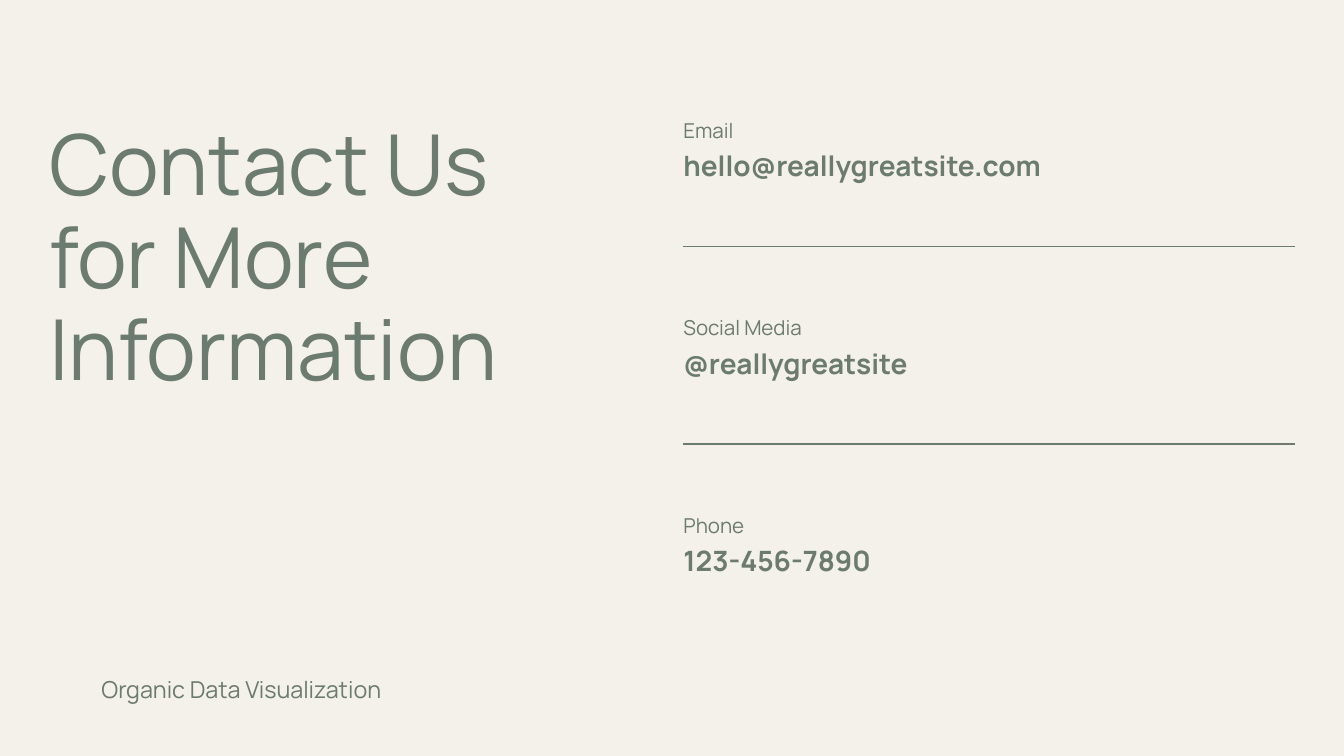
from pptx import Presentation
from pptx.dml.color import RGBColor
from pptx.enum.shapes import MSO_CONNECTOR
from pptx.enum.text import MSO_ANCHOR, MSO_AUTO_SIZE, PP_ALIGN
from pptx.oxml.ns import qn
from pptx.util import Inches, Pt
from lxml.etree import SubElement

CONTACTS = [
    ("Email", "hello@reallygreatsite.com"),
    ("Social Media", "@reallygreatsite"),
    ("Phone", "123-456-7890"),
]
LEFT, WIDTH = 10.17, 9.1
TOP, PITCH = 1.69, 2.94


def rgb(value):
    return RGBColor.from_string(value)


class Deck:
    """Holds the style and the current slide."""

    font = "Manrope"
    ink = "6B7B6F"
    paper = "F4F1EA"

    def __init__(self, slide):
        self.slide = slide
        fill = slide.background.fill
        fill.solid()
        fill.fore_color.rgb = rgb(self.paper)

    def set_text(self, sp, text, size, leading, bold=False):
        tf = sp.text_frame
        tf.word_wrap = True
        tf.auto_size = MSO_AUTO_SIZE.NONE
        tf.vertical_anchor = MSO_ANCHOR.TOP
        tf.margin_left = tf.margin_right = tf.margin_top = tf.margin_bottom = 0
        p = tf.paragraphs[0]
        p.alignment = PP_ALIGN.LEFT
        p.line_spacing = Pt(leading)
        r = p.add_run()
        r.text = text
        r.font.name = self.font
        r.font.size = Pt(size)
        r.font.bold = bold
        r.font.color.rgb = rgb(self.ink)

    def title(self, text, x, y, w, h, size, leading):
        sp = self.slide.shapes.title
        sp.left, sp.top, sp.width, sp.height = map(Inches, (x, y, w, h))
        self.set_text(sp, text, size, leading)

    def text(self, text, x, y, w, h, size, leading, bold=False):
        sp = self.slide.shapes.add_textbox(*map(Inches, (x, y, w, h)))
        self.set_text(sp, text, size, leading, bold)

    def rule(self, x, y, w):
        line = self.slide.shapes.add_connector(
            MSO_CONNECTOR.STRAIGHT, *map(Inches, (x, y, x + w, y)))
        line.line.color.rgb = rgb(self.ink)
        line.line.width = Pt(1.5)
        SubElement(line._element.spPr, qn("a:effectLst"))

    def contact(self, label, value, y):
        self.text(label, LEFT, y, WIDTH, 0.41, 22, 30.8)
        self.text(value, LEFT, y + 0.44, WIDTH, 0.55, 30, 42, bold=True)


def main():
    prs = Presentation()
    prs.slide_width, prs.slide_height = Inches(20), Inches(11.25)
    deck = Deck(prs.slides.add_slide(prs.slide_layouts[5]))

    deck.title("Contact Us for More Information", 0.73, 1.79, 7.86, 4.17, 90, 99)
    for i, (label, value) in enumerate(CONTACTS):
        y = TOP + i * PITCH
        if i:
            deck.rule(LEFT, y - 0.96, WIDTH)
        deck.contact(label, value, y)
    deck.text("Organic Data Visualization", 1.51, 10.08, 5.22, 0.4, 25, 27.5)

    prs.save("out.pptx")


if __name__ == "__main__":
    main()
